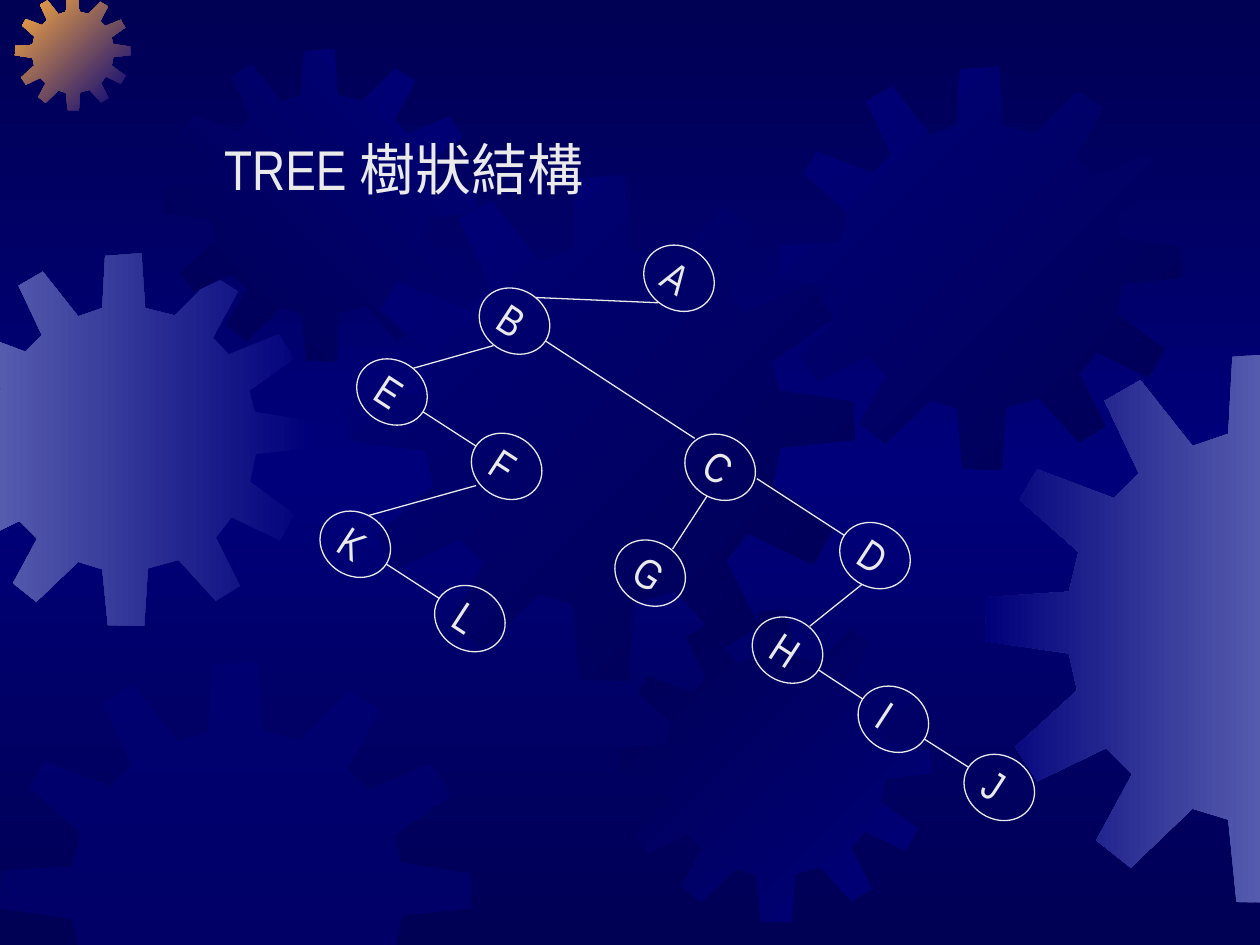
from copy import deepcopy

from lxml import etree
from pptx import Presentation
from pptx.dml.color import RGBColor
from pptx.enum import shapes, text
from pptx.oxml.ns import qn
from pptx.util import Pt

NIGHT = RGBColor(0x00, 0x00, 0x54)
NAVY = RGBColor(0x00, 0x00, 0x7A)
LAVENDER = RGBColor(0x55, 0x5B, 0xAD)
ORANGE = RGBColor(0xFC, 0xAB, 0x40)
PALE = RGBColor(0xEA, 0xEA, 0xEA)

FONT = "Arial Narrow"
SLIDE_W, SLIDE_H = 720, 540
TILT = 33.1
NODE_W, NODE_H = 42, 36

# One gear outline, drawn in a square of GEAR_UNITS a side
GEAR_UNITS = 401
GEAR = [
    (255, 67), (223, 59), (219, 0), (180, 3), (177, 59), (151, 68),
    (113, 20), (87, 35), (112, 88), (94, 106), (38, 85), (25, 107),
    (68, 145), (61, 174), (1, 178), (0, 210), (61, 219), (67, 246),
    (22, 287), (38, 312), (88, 288), (107, 307), (81, 355), (106, 375),
    (151, 332), (177, 340), (183, 400), (222, 401), (226, 339), (259, 330),
    (299, 374), (325, 358), (299, 306), (316, 284), (368, 309), (384, 281),
    (336, 246), (342, 216), (401, 210), (400, 180), (341, 171), (335, 148),
    (383, 114), (367, 87), (313, 109), (296, 91), (323, 41), (297, 25),
]

# left, top, size, colours, clockwise gradient angle (None: half transparent)
GEARS = [
    (-35.5, 144.7, 213, (NAVY, LAVENDER), 180),
    (8.6, -3, 66, (NAVY, ORANGE), 225),
    (93.6, 28, 178.5, (NAVY, NIGHT), 135),
    (199.5, 100, 289, (NIGHT, NAVY), 225),
    (0, 378, 269.5, (NAVY,), None),
    (353.5, 348.5, 178.5, (NAVY, NIGHT), 225),
    (445, 38, 230.4, (NIGHT, NAVY), 225),
    (563, 201.6, 314.6, (LAVENDER, NAVY), 180),
]

NODES = {
    "A": (367, 141), "B": (273, 165.5), "C": (390.5, 249), "D": (479, 299.5),
    "E": (203, 206), "F": (268.5, 248.5), "G": (350.5, 309.5),
    "H": (429, 353.5), "I": (489.5, 393), "J": (550, 432),
    "K": (182, 293), "L": (247.5, 335.5),
}

# Where a link leaves the first node and meets the second, from their corners
CHILD = ((9, 32), (33, 4.5))
STEEP_CHILD = ((13.5, 34.5), (33.8, 4.3))
SIBLING = ((38.8, 29.4), (3.6, 6.5))
LINKS = [
    ("AB", CHILD), ("CG", STEEP_CHILD), ("BE", CHILD),
    ("FK", ((3.5, 29), (29, 1.5))), ("DH", STEEP_CHILD),
    ("BC", ((38.8, 29.4), (6.5, 1.5))), ("CD", ((42, 24.5), (3.6, 6.5))),
    ("EF", SIBLING), ("HI", SIBLING), ("IJ", SIBLING), ("KL", SIBLING),
]


def clip(points, axis, limit, sign):
    """Keep the part of a polygon where sign * coordinate <= sign * limit."""
    kept = []
    for a, b in zip(points, points[1:] + points[:1]):
        a_in, b_in = (sign * q[axis] <= sign * limit for q in (a, b))
        if a_in:
            kept.append(a)
        if a_in != b_in:
            t = (limit - a[axis]) / (b[axis] - a[axis])
            kept.append(tuple(m + t * (n - m) for m, n in zip(a, b)))
    return kept


def set_gradient(fill, colours, angle):
    fill.gradient()
    fill.gradient_angle = (360 - angle) % 360
    for stop, colour in zip(fill.gradient_stops, colours):
        stop.color.rgb = colour


def paint_background(slide):
    fill = slide.background.fill
    set_gradient(fill, (NIGHT, NAVY), 90)
    stops = slide.element.find(".//" + qn("a:gsLst"))
    stops.append(deepcopy(stops[0]))
    for stop, position in zip(fill.gradient_stops, (0, 0.5, 1)):
        stop.position = position


def add_gear(slide, left, top, size, colours, angle):
    k = size / GEAR_UNITS
    points = [(left + x * k, top + y * k) for x, y in GEAR]
    for axis, limit, sign in ((0, 0, -1), (0, SLIDE_W, 1), (1, 0, -1), (1, SLIDE_H, 1)):
        points = clip(points, axis, limit, sign)
    points = [(Pt(x), Pt(y)) for x, y in points]
    builder = slide.shapes.build_freeform(*points[0])
    builder.add_line_segments(points[1:], close=True)
    sp = builder.convert_to_shape()
    sp.shadow.inherit = False
    sp.line.fill.background()
    if angle is not None:
        set_gradient(sp.fill, colours, angle)
        return
    sp.fill.solid()
    sp.fill.fore_color.rgb = colours[0]
    colour = sp.fill._xPr.find(".//" + qn("a:srgbClr"))
    etree.SubElement(colour, qn("a:alpha"), val="50000")


def add_text(parent, content, left, top, width, height, size, wrap):
    sp = parent.add_textbox(Pt(left), Pt(top), Pt(width), Pt(height))
    tf = sp.text_frame
    tf.word_wrap = wrap
    tf.auto_size = text.MSO_AUTO_SIZE.SHAPE_TO_FIT_TEXT
    p = tf.paragraphs[0]
    p.text = content
    p.font.size = Pt(size)
    p.font.name = FONT
    p.font.color.rgb = PALE
    return sp


def style_line(sp):
    sp.line.color.rgb = PALE
    sp.line.width = Pt(0.75)


def add_node(parent, name, left, top):
    sp = parent.add_shape(shapes.MSO_SHAPE.OVAL, Pt(left), Pt(top), Pt(NODE_W), Pt(NODE_H))
    sp.shadow.inherit = False
    sp.fill.background()
    sp.rotation = TILT
    style_line(sp)
    label = add_text(parent, name, left + 6, top - 0.7, 27.4, 36, 24, True)
    label.rotation = TILT


def add_link(parent, pair, offsets):
    x1, y1, x2, y2 = (
        Pt(corner + shift)
        for name, offset in zip(pair, offsets)
        for corner, shift in zip(NODES[name], offset)
    )
    sp = parent.add_connector(shapes.MSO_CONNECTOR.STRAIGHT, x1, y1, x2, y2)
    style_line(sp)
    etree.SubElement(sp.element.spPr, qn("a:effectLst"))


def main():
    prs = Presentation()
    prs.slide_width, prs.slide_height = Pt(SLIDE_W), Pt(SLIDE_H)
    slide = prs.slides.add_slide(prs.slide_layouts[6])
    paint_background(slide)
    for gear in GEARS:
        add_gear(slide, *gear)
    add_text(slide.shapes, "TREE 樹狀結構", 121, 73.5, 227.5, 46, 32, False)
    tree = slide.shapes.add_group_shape().shapes
    for name, corner in NODES.items():
        add_node(tree, name, *corner)
    for pair, offsets in LINKS:
        add_link(tree, pair, offsets)
    prs.save("out.pptx")


if __name__ == "__main__":
    main()
